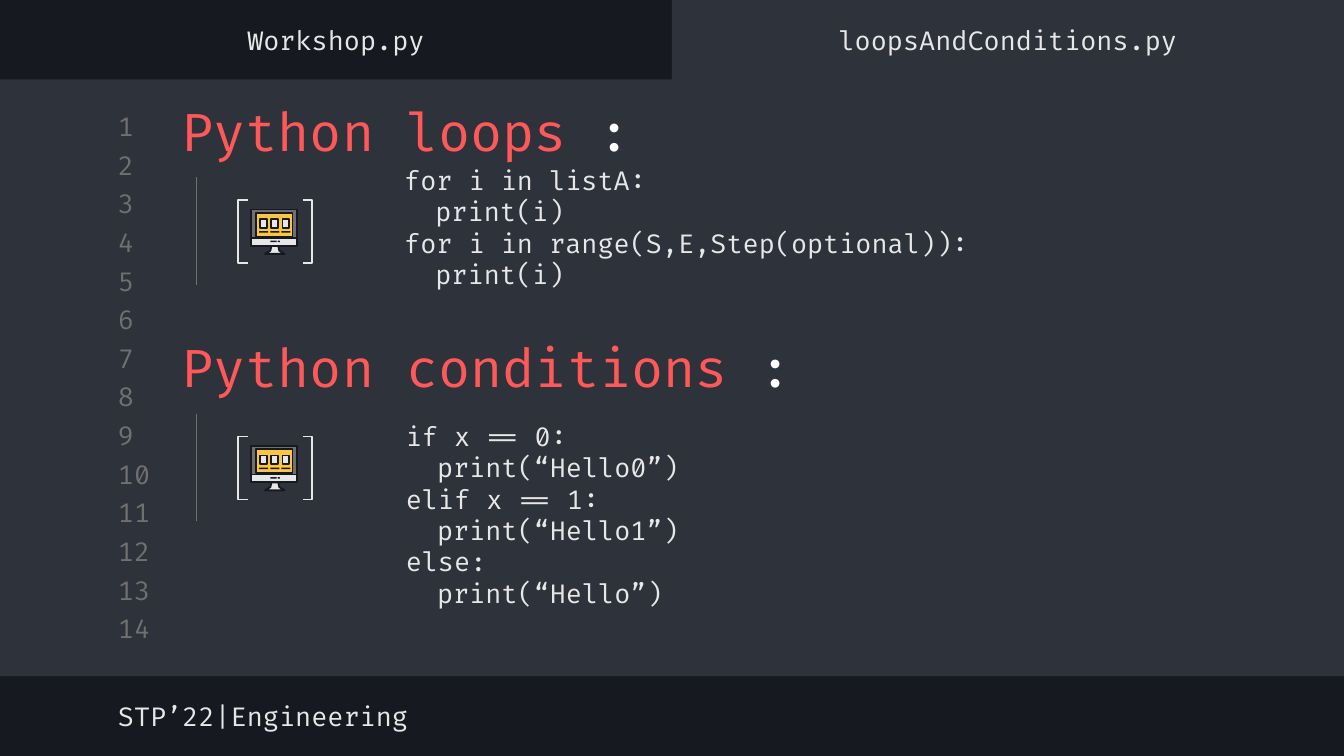
from lxml.etree import SubElement
from pptx import Presentation
from pptx.dml.color import RGBColor
from pptx.enum.shapes import MSO_CONNECTOR, MSO_SHAPE as Shape
from pptx.enum.text import MSO_ANCHOR, PP_ALIGN as Align
from pptx.oxml.ns import qn
from pptx.util import Cm, Pt

NIGHT = RGBColor(0x16, 0x19, 0x1F)
SLATE = RGBColor(0x2E, 0x32, 0x3B)
GREY = RGBColor(0x70, 0x70, 0x70)
PALE = RGBColor(0xE7, 0xE7, 0xE7)
WHITE = RGBColor(0xFF, 0xFF, 0xFF)
CORAL = RGBColor(0xFF, 0x58, 0x58)
YELLOW = RGBColor(0xFC, 0xC6, 0x42)

WIDTH, HEIGHT = 25.4, 14.29
HALF = WIDTH / 2
MARGIN = 1.98
CODE_LINE = 0.59
CODE_INDENT = 0.59

LOOPS = [(0, "for i in listA:"), (1, "print(i)"),
         (0, "for i in range(S,E,Step(optional)):"), (1, "print(i)")]
CONDITIONS = [(0, "if x == 0:"), (1, "print(“Hello0”)"),
              (0, "elif x == 1:"), (1, "print(“Hello1”)"),
              (0, "else:"), (1, "print(“Hello”)")]


class EditorSlide:
    """Holds the code editor style and the slide being drawn."""

    font = "Fira Code"
    inset = 0.25

    def __init__(self, slide):
        """Start on a slide with the dark background."""
        self.slide = slide
        slide.background.fill.solid()
        slide.background.fill.fore_color.rgb = NIGHT

    def paint(self, shape, fill=None, line=None, weight=0.75):
        """Set fill and outline of a shape and remove its shadow."""
        shape.shadow.inherit = False
        if fill is None:
            shape.fill.background()
        else:
            shape.fill.solid()
            shape.fill.fore_color.rgb = fill
        if line is None:
            shape.line.fill.background()
        else:
            shape.line.color.rgb = line
            shape.line.width = Pt(weight)
        return shape

    def shape(self, kind, x, y, w, h, group=None, **colours):
        """Add a preset shape to the slide or to a group."""
        parent = group or self.slide
        shape = parent.shapes.add_shape(kind, Cm(x), Cm(y), Cm(w), Cm(h))
        return self.paint(shape, **colours)

    def outline(self, points, group, **colours):
        """Add a closed polygon to a group."""
        corners = [(Cm(x), Cm(y)) for x, y in points]
        builder = group.shapes.build_freeform(*corners[0])
        builder.add_line_segments(corners[1:], close=True)
        return self.paint(builder.convert_to_shape(), **colours)

    def divider(self, x, top, bottom):
        """Add a thin vertical line."""
        line = self.slide.shapes.add_connector(
            MSO_CONNECTOR.STRAIGHT, Cm(x), Cm(top), Cm(x), Cm(bottom))
        line.line.color.rgb = GREY
        line.line.width = Pt(0.75)
        SubElement(line._element.spPr, qn("a:effectLst"))

    def text(self, paragraphs, x, y, w, h, size=14, colour=PALE,
             align=Align.LEFT, bottom=0):
        """Add text given as (indent level, [(words, colour), ...]) or a string."""
        frame = self.slide.shapes.add_textbox(
            Cm(x), Cm(y), Cm(w), Cm(h)).text_frame
        frame.word_wrap = True
        frame.vertical_anchor = MSO_ANCHOR.MIDDLE
        frame.margin_left = frame.margin_right = Cm(self.inset)
        frame.margin_top, frame.margin_bottom = Cm(0), Cm(bottom)
        if isinstance(paragraphs, str):
            paragraphs = [(0, [(paragraphs, colour)])]
        for number, (level, pieces) in enumerate(paragraphs):
            paragraph = frame.add_paragraph() if number else frame.paragraphs[0]
            paragraph.alignment = align
            if level:
                properties = paragraph._p.get_or_add_pPr()
                properties.set("marL", str(Cm(level * CODE_INDENT)))
                properties.set("indent", "0")
            for words, tint in pieces:
                run = paragraph.add_run()
                run.text = words
                run.font.name = self.font
                run.font.size = Pt(size)
                run.font.color.rgb = tint

    def code(self, lines, x, y, w, h):
        """Add code, leaving one free line at the bottom."""
        self.text([(level, [(words, PALE)]) for level, words in lines],
                  x, y, w, h, bottom=CODE_LINE)

    def monitor(self, x, y):
        """Add the computer icon with its top left corner at x, y."""
        icon = self.slide.shapes.add_group_shape()
        edge = {"group": icon, "line": NIGHT, "weight": 1}
        stand = [(0.38, 0.69), (0.51, 0.69), (0.53, 0.78), (0.63, 0.84),
                 (0.26, 0.84), (0.36, 0.78)]
        self.outline([(x + dx, y + dy) for dx, dy in stand], fill=PALE, **edge)
        self.shape(Shape.RECTANGLE, x, y, 0.87, 0.54, fill=GREY, **edge)
        self.shape(Shape.RECTANGLE, x + 0.09, y + 0.06, 0.69, 0.46,
                   fill=YELLOW, **edge)
        self.shape(Shape.RECTANGLE, x, y + 0.54, 0.87, 0.15, fill=PALE, **edge)
        for column in range(3):
            left = x + 0.17 + 0.21 * column
            self.shape(Shape.RECTANGLE, left, y + 0.18, 0.13, 0.17,
                       fill=PALE, **edge)
            self.shape(Shape.ROUNDED_RECTANGLE, left - 0.02, y + 0.41,
                       0.17, 0.03, group=icon, fill=NIGHT)
        for left, width in ((0.36, 0.12), (0.5, 0.04)):
            self.shape(Shape.ROUNDED_RECTANGLE, x + left, y + 0.59,
                       width, 0.03, group=icon, fill=NIGHT)

    def section(self, title, top, width):
        """Add a title with the divider and the bracketed icon below it."""
        self.text([(0, [(title + " ", CORAL), (":", WHITE)])],
                  3.18, top, width, 1.47, size=28)
        self.divider(3.71, top + 1.62, top + 3.65)
        self.monitor(4.75, top + 2.23)
        brackets = self.slide.shapes.add_group_shape()
        for kind, x in ((Shape.LEFT_BRACKET, 4.5), (Shape.RIGHT_BRACKET, 5.72)):
            bracket = self.shape(kind, x, top + 2.05, 0.18, 1.19,
                                 group=brackets, line=PALE)
            bracket.adjustments[0] = 0


def build():
    """Build the slide and save it."""
    deck = Presentation()
    deck.slide_width, deck.slide_height = Cm(WIDTH), Cm(HEIGHT)
    editor = EditorSlide(deck.slides.add_slide(deck.slide_layouts[6]))

    editor.shape(Shape.RECTANGLE, 0, 1.5, WIDTH, 11.28, fill=SLATE)
    editor.shape(Shape.RECTANGLE, HALF, 0, HALF, 1.65, fill=SLATE)
    for index in range(14):
        editor.text(str(index + 1), MARGIN, 2.08 + 0.73 * index, 1.19, 0.61,
                    colour=GREY)
    for tab, name in enumerate(("Workshop.py", "loopsAndConditions.py")):
        editor.text(name, tab * HALF, 0.25, HALF, 1, align=Align.CENTER)

    editor.section("Python loops", 1.73, 9.4)
    editor.code(LOOPS, 7.39, 2.97, 12.65, 3.23)
    editor.section("Python conditions", 6.2, 12.7)
    editor.code(CONDITIONS, 7.42, 7.95, 6.35, 4.14)
    editor.text("STP’22|Engineering", MARGIN, 13.03, 13.51, 1)
    deck.save("out.pptx")


build()
